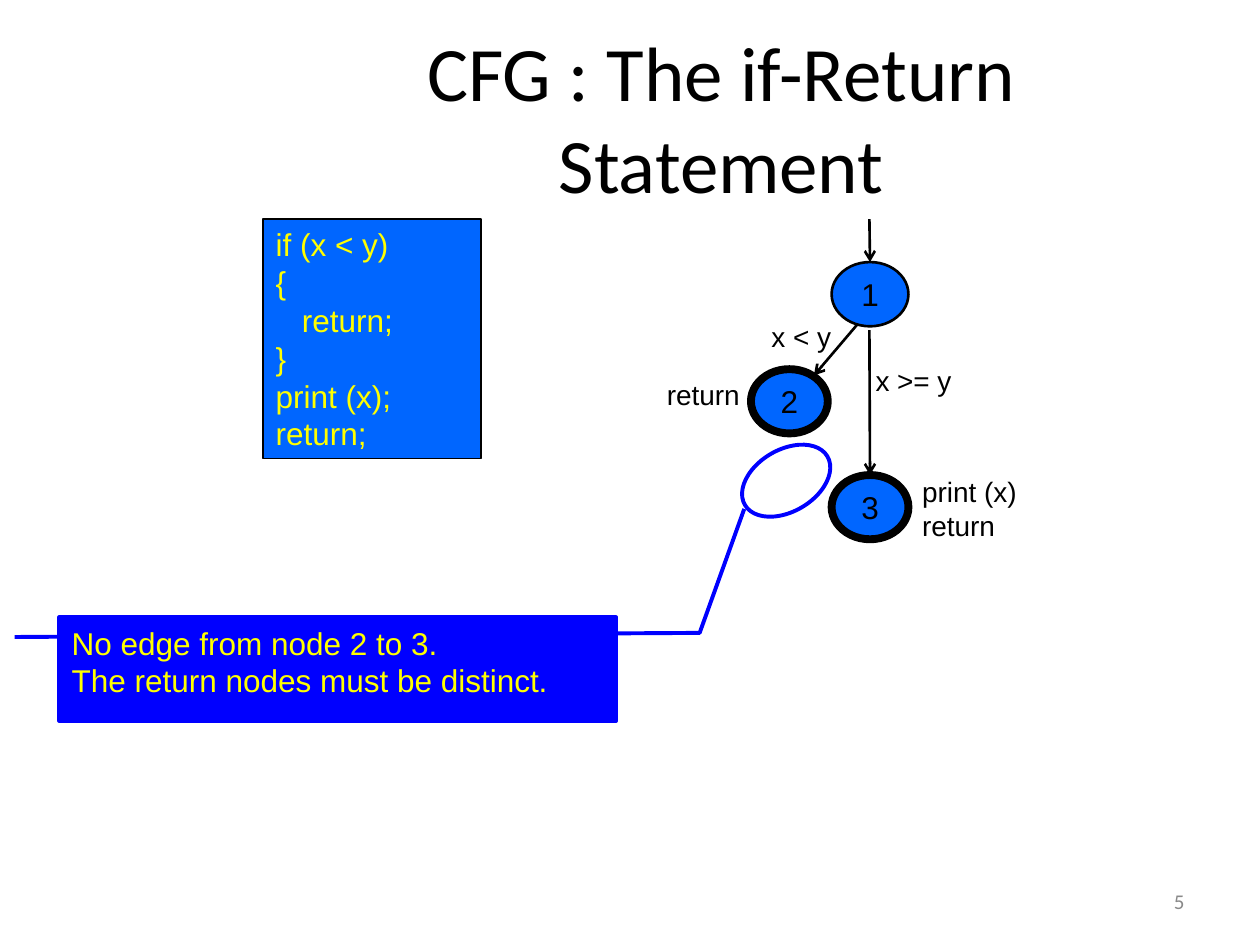
from dataclasses import dataclass

import pptx
import pptx.dml.color
import pptx.enum.dml
import pptx.enum.shapes
import pptx.enum.text
import pptx.oxml.ns
import pptx.util
from lxml import etree

Inches = pptx.util.Inches
Pt = pptx.util.Pt
Align = pptx.enum.text.PP_ALIGN
Anchor = pptx.enum.text.MSO_ANCHOR
Kind = pptx.enum.shapes.MSO_SHAPE
qn = pptx.oxml.ns.qn


@dataclass(frozen=True)
class Theme:
    black: str = "000000"
    sky: str = "0066FF"
    blue: str = "0000FF"
    yellow: str = "FFFF00"
    grey: str = "898989"
    head: str = "Calibri"
    body: str = "Arial"
    title: int = 44
    text: int = 18
    label: int = 16
    small: int = 12


@dataclass(frozen=True)
class Box:
    left: float
    top: float
    width: float
    height: float

    def spread(self) -> tuple:
        return tuple(map(Inches, (self.left, self.top, self.width, self.height)))


@dataclass(frozen=True)
class Node:
    name: str
    left: float
    top: float
    line: float


@dataclass(frozen=True)
class Edge:
    start: tuple[float, float]
    end: tuple[float, float]
    goal: str = ""  # node whose top the arrow meets


@dataclass(frozen=True)
class Label:
    text: str
    box: Box
    align: Align
    pitch: float = 1.0


THEME = Theme()
NODES = [Node("1", 6.6, 2.08, 1.5), Node("2", 5.96, 2.93, 4.5), Node("3", 6.6, 3.77, 4.5)]
EDGES = [
    Edge((6.9, 1.74), (6.9, 2.07), "1"),
    Edge((6.8, 2.58), (6.46, 2.98)),
    Edge((6.9, 2.62), (6.9, 3.76), "3"),
]
LABELS = [
    Label("x >= y", Box(6.84, 2.84, 0.82, 0.37), Align.CENTER),
    Label("x < y", Box(5.95, 2.49, 0.82, 0.37), Align.CENTER),
    Label("return", Box(4.94, 3.06, 1.03, 0.24), Align.RIGHT, 0.5),
    Label("print (x)\nreturn", Box(7.22, 3.83, 1.03, 0.51), Align.LEFT, 0.5),
]
CODE = "if (x < y)\n{\n   return;\n}\nprint (x);\nreturn;"
NOTE = "No edge from node 2 to 3.\nThe return nodes must be distinct."


def tint(hue: str) -> pptx.dml.color.RGBColor:
    return pptx.dml.color.RGBColor.from_string(hue)


def write(shape, text: str, size: int, hue: str, face: str = THEME.body,
          align: Align = Align.LEFT, anchor: Anchor = Anchor.TOP) -> None:
    frame = shape.text_frame
    frame.text = text
    frame.word_wrap = True
    frame.auto_size = pptx.enum.text.MSO_AUTO_SIZE.NONE
    frame.vertical_anchor = anchor
    for para in frame.paragraphs:
        para.alignment = align
        for run in para.runs:
            run.font.size = Pt(size)
            run.font.name = face
            run.font.color.rgb = tint(hue)


def add_form(slide, kind: Kind, box: Box, fill: str | None, line: str, width: float):
    """Add a flat preset shape; no fill colour leaves it hollow."""
    shape = slide.shapes.add_shape(kind, *box.spread())
    shape.shadow.inherit = False
    if fill:
        shape.fill.solid()
        shape.fill.fore_color.rgb = tint(fill)
    else:
        shape.fill.background()
    shape.line.color.rgb = tint(line)
    shape.line.width = Pt(width)
    return shape


def add_node(slide, node: Node):
    box = Box(node.left, node.top, 0.61, 0.51)
    shape = add_form(slide, Kind.OVAL, box, THEME.sky, THEME.black, node.line)
    frame = shape.text_frame
    frame.margin_left = frame.margin_right = frame.margin_top = frame.margin_bottom = 0
    write(shape, node.name, THEME.text, THEME.black, align=Align.CENTER, anchor=Anchor.MIDDLE)
    return shape


def add_edge(slide, edge: Edge, nodes: dict) -> None:
    ends = map(Inches, edge.start + edge.end)
    line = slide.shapes.add_connector(pptx.enum.shapes.MSO_CONNECTOR.STRAIGHT, *ends)
    if edge.goal:
        line.end_connect(nodes[edge.goal], 0)
    line.line.color.rgb = tint(THEME.black)
    line.line.width = Pt(1.5)
    etree.SubElement(line.line._get_or_add_ln(), qn("a:tailEnd"), type="arrow")
    etree.SubElement(line._element.spPr, qn("a:effectLst"))


def add_label(slide, label: Label) -> None:
    shape = slide.shapes.add_textbox(*label.box.spread())
    write(shape, label.text, THEME.label, THEME.black, align=label.align)
    for rank, para in enumerate(shape.text_frame.paragraphs):
        para.line_spacing = label.pitch
        if rank:
            para.space_before = Pt(10)


def add_note(slide) -> None:
    box = Box(0.47, 4.9, 4.42, 0.82)
    note = add_form(slide, Kind.LINE_CALLOUT_2, box, THEME.blue, THEME.blue, 2.25)
    for rank, value in enumerate((0.19, -0.08, 0.15, 1.15, -1.05, 1.23)):
        note.adjustments[rank] = value
    write(note, NOTE, THEME.text, THEME.yellow)
    ring = add_form(slide, Kind.OVAL, Box(5.86, 3.57, 0.76, 0.49), None, THEME.blue, 2.25)
    ring.rotation = 329.5


def main() -> None:
    deck = pptx.Presentation()
    deck.slide_width, deck.slide_height = Inches(10), Inches(7.5)
    slide = deck.slides.add_slide(deck.slide_layouts[5])

    title = slide.shapes.title
    title.left, title.top, title.width, title.height = Box(1.95, 0.3, 7.55, 1.25).spread()
    write(title, "CFG : The if-Return Statement", THEME.title, THEME.black,
          THEME.head, Align.CENTER, Anchor.MIDDLE)

    number = slide.shapes.add_textbox(*Box(7.17, 6.95, 2.33, 0.4).spread())
    write(number, "5", THEME.small, THEME.grey, THEME.head, Align.RIGHT, Anchor.MIDDLE)

    code = add_form(slide, Kind.RECTANGLE, Box(2.09, 1.74, 1.73, 1.9),
                    THEME.sky, THEME.black, 1)
    write(code, CODE, THEME.text, THEME.yellow)

    nodes = {node.name: add_node(slide, node) for node in NODES}
    for edge in EDGES:
        add_edge(slide, edge, nodes)
    for label in LABELS:
        add_label(slide, label)
    add_note(slide)
    deck.save("out.pptx")


if __name__ == "__main__":
    main()
